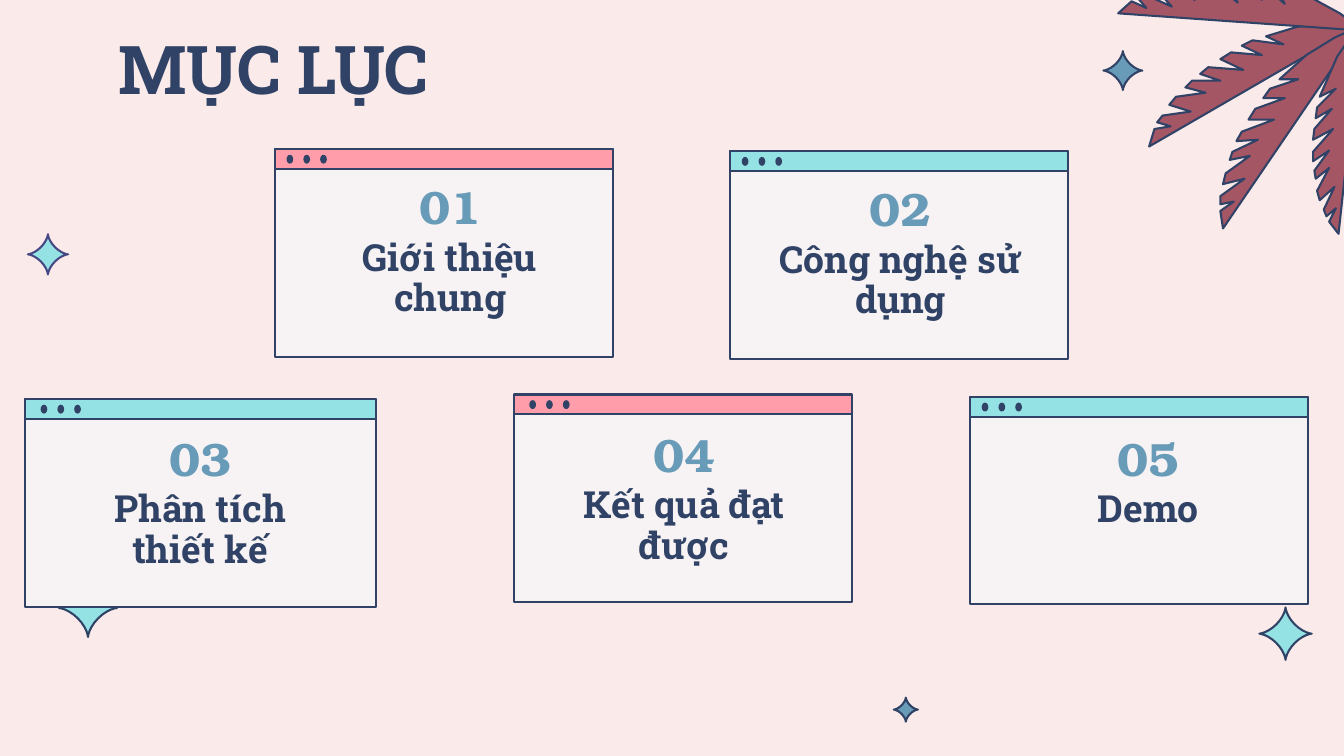
"""Build the contents slide: five browser-style windows, four-point sparkles and a palm."""
from math import cos, pi, sin

from lxml import etree
from pptx import Presentation
from pptx.dml.color import RGBColor
from pptx.enum.shapes import MSO_SHAPE
from pptx.enum.text import MSO_ANCHOR, MSO_AUTO_SIZE, PP_ALIGN
from pptx.oxml.ns import qn
from pptx.util import Inches, Pt

RECTANGLE, OVAL = MSO_SHAPE.RECTANGLE, MSO_SHAPE.OVAL
TOP, MIDDLE = MSO_ANCHOR.TOP, MSO_ANCHOR.MIDDLE
LEFT, CENTER = PP_ALIGN.LEFT, PP_ALIGN.CENTER
NO_AUTOFIT = MSO_AUTO_SIZE.NONE
COMPARISON_LAYOUT = 4

THEME = {
    "background": "FAEAEA", "ink": "304266", "ink_dark": "1F2B42", "violet": "474784",
    "panel": "F7F3F4", "aqua": "94E2E4", "pink": "FF9DAA", "blue": "689BB8", "palm": "A45665",
    "heading_font": "Roboto Slab", "number_font": "TeX Gyre Bonum",
    "title_size": 36, "number_size": 25, "topic_size": 20, "outline": 1.11,
}

prs = Presentation()
prs.slide_width = Inches(10)
prs.slide_height = prs.slide_width * 9 // 16
CELL = prs.slide_width // 1000
slide = prs.slides.add_slide(prs.slide_layouts[COMPARISON_LAYOUT])
slide.background.fill.solid()
slide.background.fill.fore_color.rgb = RGBColor.from_string(THEME["background"])
title, *topic_holders = slide.placeholders


def paint(shape, fill, line="ink"):
    shape.shadow.inherit = False
    shape.fill.solid()
    shape.fill.fore_color.rgb = RGBColor.from_string(THEME[fill])
    if line:
        shape.line.color.rgb = RGBColor.from_string(THEME[line])
        shape.line.width = Pt(THEME["outline"])
    else:
        shape.line.fill.background()


def write(box, place, text, size, font, color, anchor, align, before, after):
    box.left, box.top, box.width, box.height = (round(cells * CELL) for cells in place)
    frame = box.text_frame
    frame.word_wrap, frame.auto_size, frame.vertical_anchor = True, NO_AUTOFIT, anchor
    paragraph = frame.paragraphs[0]
    paragraph.alignment, paragraph.line_spacing = align, 0.9
    paragraph.space_before, paragraph.space_after = Pt(before), Pt(after)
    properties = paragraph._p.get_or_add_pPr()
    properties.set("marL", "0")
    properties.set("indent", "0")
    etree.SubElement(properties, qn("a:buNone"))
    run = paragraph.add_run()
    run.text = text
    run.font.name, run.font.size, run.font.bold = THEME[font], Pt(THEME[size]), True
    run.font.color.rgb = RGBColor.from_string(THEME[color])
    box._element.getparent().append(box._element)
    return run


sparkles = [
    (65.5, 452.5, 21.5, "aqua", "ink"),
    (674, 528, 9, "blue", "ink"),
    (35.7, 189.3, 15, "aqua", "violet"),
    (835.5, 52.5, 14.5, "blue", "ink"),
    (956.5, 471.5, 19.5, "aqua", "ink"),
]
outlines = []
for center_x, center_y, radius, fill, line in sparkles:
    angles = [step * pi / 24 for step in range(48)]
    points = [(center_x + radius * cos(a) ** 3, center_y + radius * sin(a) ** 3) for a in angles]
    outlines.append((points, fill, line))

palm_leaves = [
    [(916, 39), (908, 44), (925, 52), (899, 50), (893, 55), (908, 60), (887, 60), (882, 65),
     (897, 69), (875, 72), (870, 78), (886, 83), (865, 86), (861, 91), (871, 94), (859, 96),
     (855, 109), (1014, 17), (992, 17), (965, 20), (942, 27), (955, 33), (932, 30), (924, 34),
     (939, 41)],
    [(921, -14), (911, -14), (921, 2), (901, -14), (894, -14), (903, -1), (885, -13), (878, -12),
     (889, 0), (868, -10), (861, -7), (872, 5), (852, -4), (847, -1), (853, 6), (842, 1),
     (832, 10), (1015, 23), (997, 10), (975, -2), (949, -10), (956, 3), (939, -12), (931, -13),
     (939, 0)],
    [(934, 81), (929, 89), (948, 89), (924, 98), (920, 105), (936, 104), (917, 113), (915, 119),
     (930, 116), (912, 129), (910, 137), (926, 133), (908, 146), (908, 152), (918, 150),
     (908, 157), (910, 170), (1013, 19), (993, 28), (972, 41), (952, 59), (966, 59), (945, 66),
     (940, 73), (956, 73)],
    [(978, 96), (977, 104), (992, 96), (977, 113), (977, 120), (989, 112), (978, 127), (979, 133),
     (989, 125), (980, 142), (982, 149), (993, 139), (985, 156), (987, 161), (994, 155),
     (989, 165), (996, 174), (1013, 16), (995, 42), (982, 72), (994, 66), (980, 80), (979, 88),
     (991, 81)],
]
outlines += [(leaf, "palm", "ink") for leaf in palm_leaves]
for points, fill, line in outlines:
    corners = [(round(x * CELL), round(y * CELL)) for x, y in points]
    builder = slide.shapes.build_freeform(*corners[0])
    builder.add_line_segments(corners[1:], close=True)
    paint(builder.convert_to_shape(), fill, line)

heading = write(title, (78, 15, 644, 78), "MỤC LỤC", "title_size", "heading_font", "ink",
                MIDDLE, LEFT, 0, 6)
heading.font.fill.gradient()
heading.font.fill.gradient_angle = 267
for stop, color in zip(heading.font.fill.gradient_stops, ("ink", "ink_dark")):
    stop.color.rgb = RGBColor.from_string(THEME[color])

windows = [
    ("01", "Giới thiệu chung", "pink", 204.8, 111, 251.4, 8.4, 228.5, 139),
    ("02", "Công nghệ sử dụng", "aqua", 543.5, 112.6, 251.4, 8.4, 563.5, 140.6),
    ("03", "Phân tích thiết kế", "aqua", 18.6, 297, 261, 11.6, 42.5, 326),
    ("04", "Kết quả đạt được", "pink", 382.4, 293.6, 251.4, 11.4, 402.5, 323),
    ("05", "Demo", "aqua", 722, 295.4, 251.4, 8.4, 748, 326),
]
for index, (number, topic, accent, left, top, width, dot_inset, text_left, text_top) in enumerate(windows):
    parts = [(RECTANGLE, left, top, width, 154.4, "panel", "ink"),
             (RECTANGLE, left, top, width, 14.6, accent, "ink")]
    parts += [(OVAL, left + dot_inset + 12.5 * dot, top + 4.2, 5, 6.6, "ink", None)
              for dot in range(3)]
    for preset, *place, fill, line in parts:
        paint(slide.shapes.add_shape(preset, *(round(cells * CELL) for cells in place)), fill, line)

    if index < len(topic_holders):
        topic_box = topic_holders[index]
    else:
        topic_box = slide.shapes.add_textbox(0, 0, CELL, CELL)
    write(topic_box, (text_left, text_top + 34, 213, 43), topic, "topic_size", "heading_font",
          "ink", TOP, CENTER, 7.5, 0)
    write(slide.shapes.add_textbox(0, 0, CELL, CELL), (text_left, text_top, 213, 34), number,
          "number_size", "number_font", "blue", MIDDLE, CENTER, 7.5, 0)

prs.save("out.pptx")
